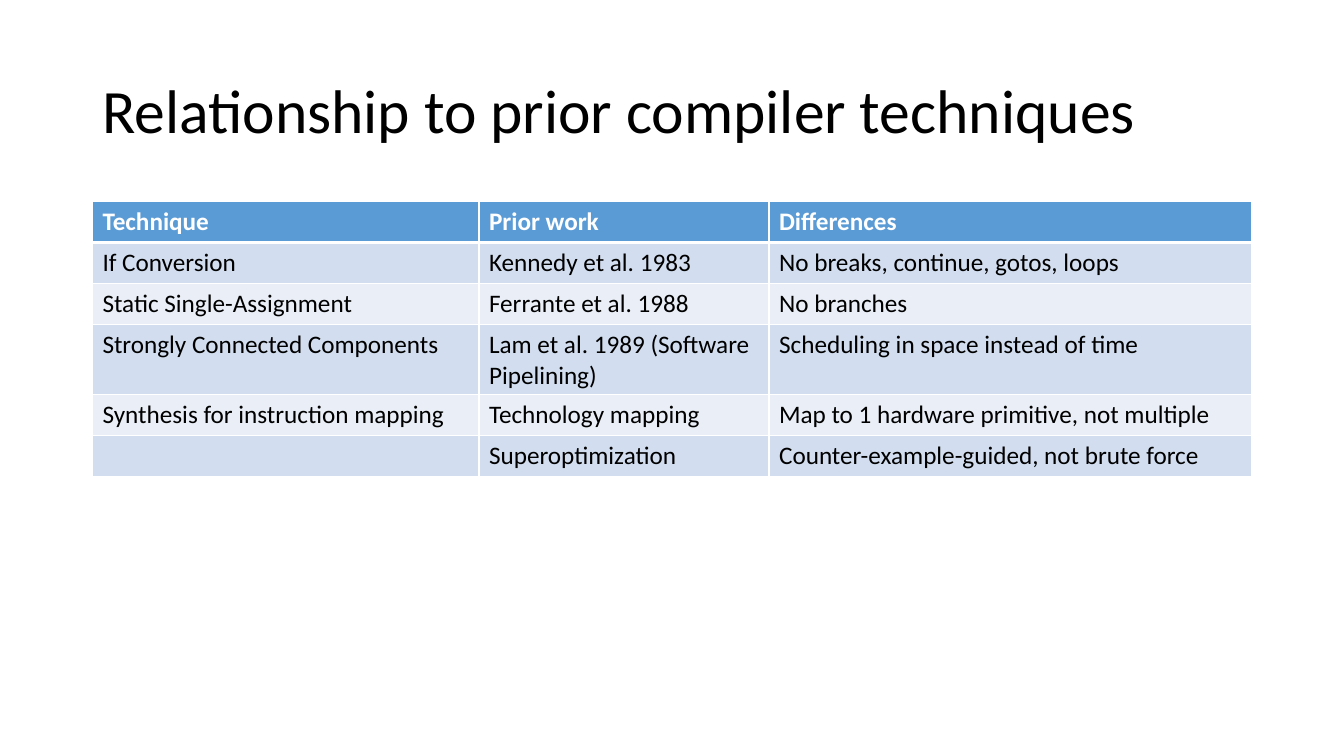
from lxml import etree
from pptx import Presentation
from pptx.dml.color import RGBColor
from pptx.enum import text
from pptx.oxml import ns
from pptx.util import Cm, Pt

TITLE = "Relationship to prior compiler techniques"
HEADINGS = ("Technique", "Prior work", "Differences")
TECHNIQUES = [
    ("If Conversion", "Kennedy et al. 1983", "No breaks, continue, gotos, loops"),
    ("Static Single-Assignment", "Ferrante et al. 1988", "No branches"),
    ("Strongly Connected Components", "Lam et al. 1989 (Software Pipelining)",
     "Scheduling in space instead of time"),
    ("Synthesis for instruction mapping", "Technology mapping",
     "Map to 1 hardware primitive, not multiple"),
    ("", "Superoptimization", "Counter-example-guided, not brute force"),
]

FONT = "Calibri"
BLACK = RGBColor(0x00, 0x00, 0x00)
WHITE = RGBColor(0xFF, 0xFF, 0xFF)
HEADER_BLUE = RGBColor(0x5B, 0x9B, 0xD5)
BANDS = (RGBColor(0xD2, 0xDE, 0xEF), RGBColor(0xEA, 0xEF, 0xF7))

LEFT, WIDTH = Cm(2.33), Cm(29.21)
COLUMN_WIDTHS = (Cm(9.74), Cm(7.31), Cm(12.16))
ROW_HEIGHT = Cm(1.03)
THIN, THICK = Pt(1), Pt(3)


def style_font(font, size, color, bold=False):
    font.name, font.size, font.bold = FONT, Pt(size), bold
    font.color.rgb = color


def add_borders(cell, top, bottom):
    """Draw white cell borders; call before the fill is set."""
    properties = cell._tc.get_or_add_tcPr()
    for side, width in (("L", THIN), ("R", THIN), ("T", top), ("B", bottom)):
        line = etree.SubElement(properties, ns.qn(f"a:ln{side}"), w=str(width))
        fill = etree.SubElement(line, ns.qn("a:solidFill"))
        etree.SubElement(fill, ns.qn("a:srgbClr"), val=str(WHITE))


def add_title(slide):
    frame = slide.shapes.add_textbox(LEFT, Cm(1.01), WIDTH, Cm(3.68)).text_frame
    frame.word_wrap = True
    frame.vertical_anchor = text.MSO_ANCHOR.MIDDLE
    frame.text = TITLE
    paragraph = frame.paragraphs[0]
    paragraph.line_spacing = 0.9
    style_font(paragraph.runs[0].font, 44, BLACK)


def add_techniques(slide):
    rows = [HEADINGS, *TECHNIQUES]
    table = slide.shapes.add_table(len(rows), len(HEADINGS), LEFT, Cm(5.08),
                                   WIDTH, ROW_HEIGHT * len(rows)).table
    for column, width in zip(table.columns, COLUMN_WIDTHS):
        column.width = width
    for r, row in enumerate(rows):
        table.rows[r].height = ROW_HEIGHT
        is_header = r == 0
        for c, wording in enumerate(row):
            cell = table.cell(r, c)
            add_borders(cell, top=THICK if r == 1 else THIN,
                        bottom=THICK if is_header else THIN)
            cell.fill.solid()
            cell.fill.fore_color.rgb = HEADER_BLUE if is_header else BANDS[(r - 1) % 2]
            if wording:
                cell.text_frame.text = wording
                style_font(cell.text_frame.paragraphs[0].runs[0].font, 18,
                           WHITE if is_header else BLACK, is_header)


def main():
    deck = Presentation()
    deck.slide_width, deck.slide_height = Cm(33.87), Cm(19.05)
    slide = deck.slides.add_slide(deck.slide_layouts[6])
    add_title(slide)
    add_techniques(slide)
    deck.save("out.pptx")


if __name__ == "__main__":
    main()
